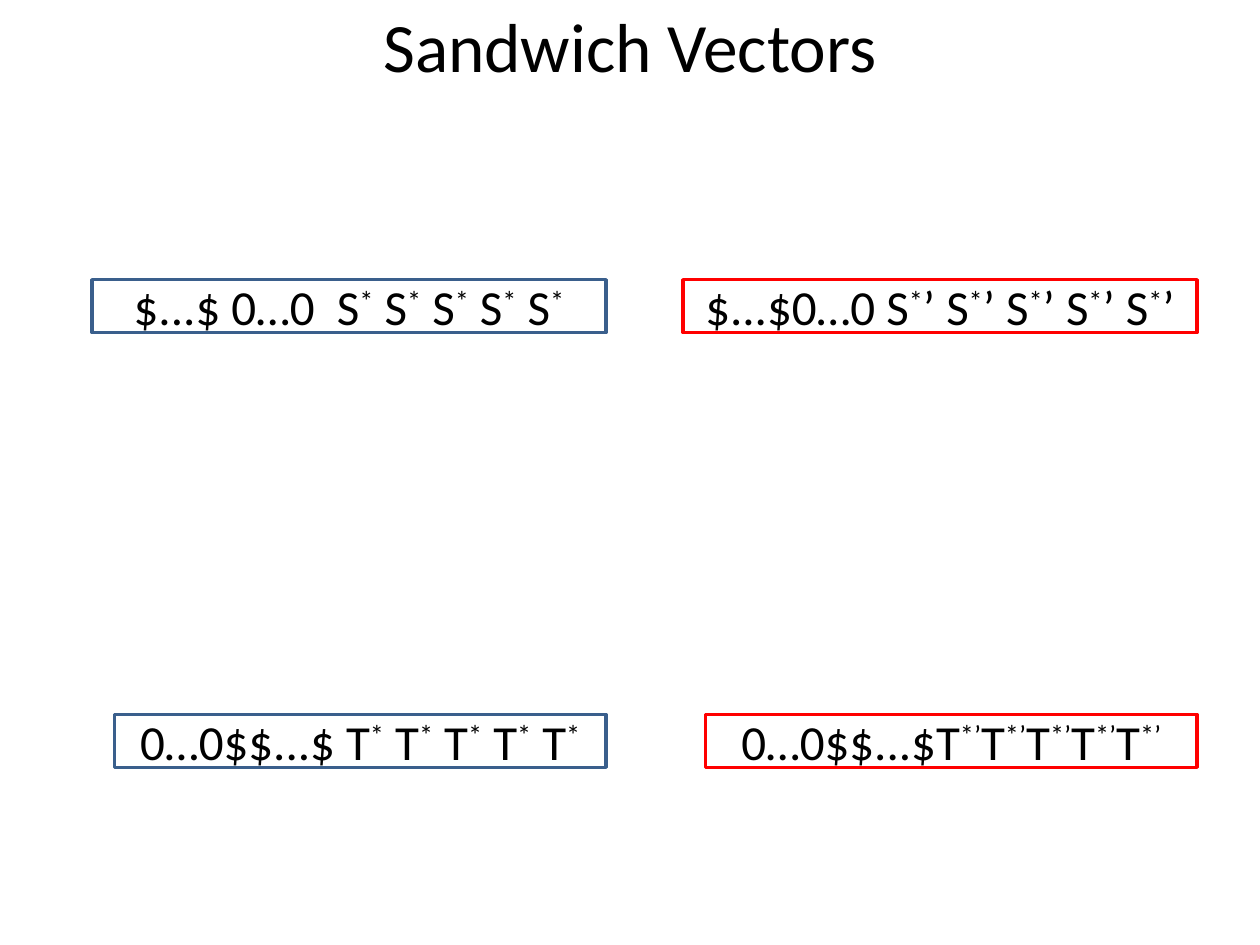
"""Build the Sandwich Vectors slide."""
import pptx
import pptx.util
import pptx.dml.color
import pptx.enum.shapes
import pptx.enum.text

Inches = pptx.util.Inches


def color(code):
    return pptx.dml.color.RGBColor.from_string(code)


def write(shape, text, size=28, ink="000000", face="Calibri"):
    """Write centred text, raising the parts between carets."""
    frame = shape.text_frame
    frame.word_wrap = True
    frame.vertical_anchor = pptx.enum.text.MSO_ANCHOR.MIDDLE
    para = frame.paragraphs[0]
    para.alignment = pptx.enum.text.PP_ALIGN.CENTER
    for i, part in enumerate(text.split("^")):
        if part:
            run = para.add_run()
            run.text = part
            run.font.size = pptx.util.Pt(size)
            run.font.name = face
            run.font.color.rgb = color(ink)
            if i % 2:
                run.font._element.set("baseline", "30000")


deck = pptx.Presentation()
deck.slide_width = Inches(10)
deck.slide_height = Inches(7.5)
slide = deck.slides.add_slide(deck.slide_layouts[6])

title = slide.shapes.add_textbox(Inches(0.5), Inches(0), Inches(9), Inches(0.71))
write(title, "Sandwich Vectors", size=39.6)

blue, red = "3A5F8C", "FF0000"
boxes = [
    (4.81, 2.22, 4.08, blue, "$...$ 0…0 " + " S^*^" * 5),
    (4.81, 5.67, 3.9, blue, "0…0$$...$" + " T^*^" * 5),
    (9.5, 2.22, 4.08, red, "$...$0…0" + " S^*^’" * 5),
    (9.5, 5.67, 3.9, red, "0…0$$...$" + "T^*’^" * 5),
]
for right, top, width, edge, text in boxes:
    box = slide.shapes.add_shape(
        pptx.enum.shapes.MSO_SHAPE.RECTANGLE,
        Inches(right - width), Inches(top), Inches(width), Inches(0.42))
    box.shadow.inherit = False
    box.fill.background()
    box.line.color.rgb = color(edge)
    box.line.width = pptx.util.Pt(2)
    write(box, text)

deck.save("out.pptx")
